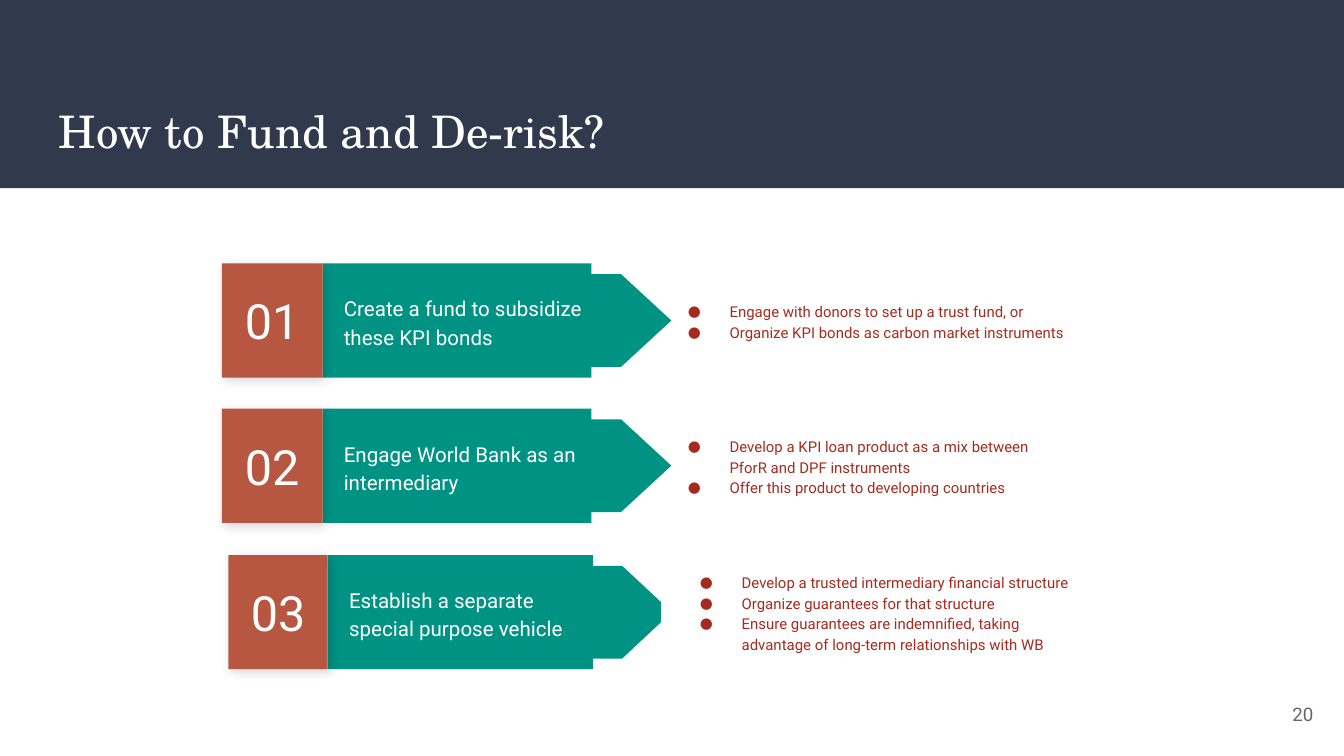
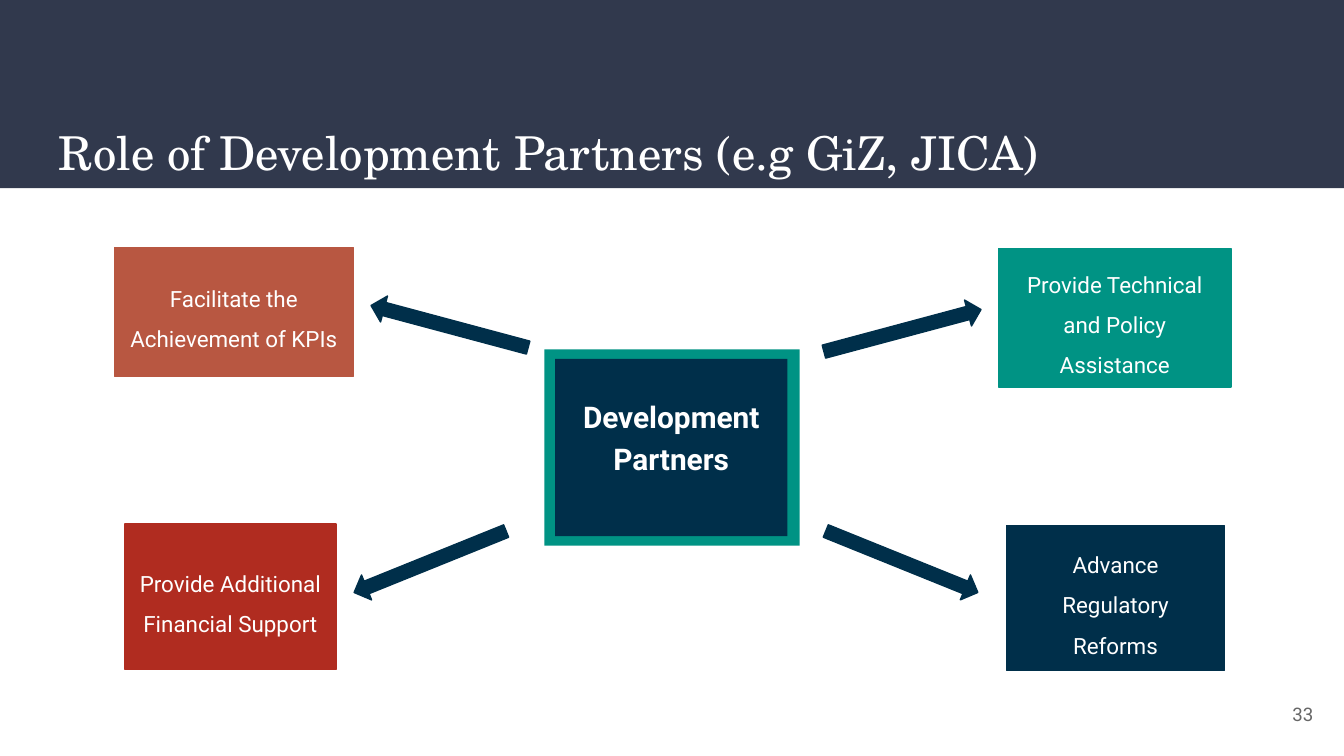
from lxml import etree
from pptx import Presentation
from pptx import util as u
from pptx.dml.color import RGBColor
from pptx.enum import shapes, text
from pptx.oxml.ns import qn

PX = 9144  # 100 px to the inch
WHITE, BAND, GREY = "FFFFFF", "31394D", "666666"
TEAL, CLAY, RED, NAVY, BULLET = "009384", "B85741", "B02C20", "002F4A", "A72A1E"
BODY_FONT, TITLE_FONT = "Roboto", "TeX Gyre Schola"
LEFT, CENTER, RIGHT = text.PP_ALIGN.LEFT, text.PP_ALIGN.CENTER, text.PP_ALIGN.RIGHT
TOP, MIDDLE = text.MSO_ANCHOR.TOP, text.MSO_ANCHOR.MIDDLE
RECT = shapes.MSO_SHAPE.RECTANGLE
ARROW = shapes.MSO_SHAPE.RIGHT_ARROW
PENTAGON = shapes.MSO_SHAPE.FLOWCHART_OFFPAGE_CONNECTOR


def color(hex_string):
    return RGBColor.from_string(hex_string)


def emu(box):
    return [u.Emu(round(length * PX)) for length in box]


def add_block(slide, box, fill, kind=RECT, outlined=False, rotation=0):
    shape = slide.shapes.add_shape(kind, *emu(box))
    shape.shadow.inherit = False
    shape.fill.solid()
    shape.fill.fore_color.rgb = color(fill)
    if outlined:
        shape.line.color.rgb = color(fill)
        shape.line.width = u.Pt(0.75)
    else:
        shape.line.fill.background()
    shape.rotation = rotation
    return shape


def write(shape, lines, size, ink=WHITE, font=BODY_FONT, align=LEFT,
          anchor=MIDDLE, spacing=1.0, bold=False, bulleted=False):
    frame = shape.text_frame
    frame.text = "\n".join(lines)
    frame.word_wrap = True
    frame.vertical_anchor = anchor
    frame.margin_left = frame.margin_right = u.Inches(0.1)
    frame.margin_top = frame.margin_bottom = u.Inches(0.1)
    for paragraph in frame.paragraphs:
        if bulleted:
            add_bullet(paragraph, ink, size)
        paragraph.alignment = align
        paragraph.line_spacing = spacing
        for run in paragraph.runs:
            run.font.name = font
            run.font.size = u.Pt(size)
            run.font.bold = bold
            run.font.color.rgb = color(ink)


def add_text(slide, box, lines, size, **style):
    write(slide.shapes.add_textbox(*emu(box)), lines, size, **style)


def add_bullet(paragraph, ink, size):
    properties = paragraph._p.get_or_add_pPr()
    properties.set("marL", str(u.Inches(0.5)))
    properties.set("indent", str(u.Inches(-0.31)))
    bullet_color = etree.SubElement(properties, qn("a:buClr"))
    etree.SubElement(bullet_color, qn("a:srgbClr"), val=ink)
    etree.SubElement(properties, qn("a:buSzPts"), val=str(size * 100))
    etree.SubElement(properties, qn("a:buFont"), typeface=BODY_FONT)
    etree.SubElement(properties, qn("a:buChar"), char="●")


def add_soft_shadow(shape):
    effects = shape._element.spPr.find(qn("a:effectLst"))
    shadow = etree.SubElement(
        effects, qn("a:outerShdw"), blurRad=str(u.Pt(5.6)), dist=str(u.Pt(2.2)),
        dir="2700000", algn="tl", rotWithShape="0")
    shade = etree.SubElement(shadow, qn("a:srgbClr"), val="000000")
    etree.SubElement(shade, qn("a:alpha"), val="17000")


def start_slide(presentation, title, title_top, title_size, number):
    slide = presentation.slides.add_slide(presentation.slide_layouts[6])
    add_block(slide, (0, 0, 1000, 140), BAND)
    add_text(slide, (34, title_top, 932, 68), [title], title_size,
             font=TITLE_FONT, anchor=TOP)
    add_text(slide, (927, 510, 60, 43), [number], 10, ink=GREY, align=RIGHT)
    return slide


def add_step(slide, box, number, heading, points, points_span, points_fill=None):
    """Numbered band with an arrow tip; points_span is the bullets' offset and width."""
    left, top, width, height = box
    stretch = width / 645
    add_block(slide, (left + 75 * stretch, top, 200 * stretch, height), TEAL)

    # The pentagon points down, so its frame is upright before the turn.
    tip_width, tip_length = 69, 187 * stretch
    center_x, center_y = left + 241 * stretch, top + height / 2
    add_block(slide, (center_x - tip_width / 2, center_y - tip_length / 2,
                      tip_width, tip_length), TEAL, PENTAGON, rotation=270)

    add_text(slide, (left + 81 * stretch, top + 10, 210 * stretch, 66),
             [heading], 11, spacing=1.15)
    square = add_block(slide, (left, top, 75 * stretch, height), CLAY)
    add_soft_shadow(square)
    write(square, [number], 26, align=CENTER)

    points_offset, points_width = points_span
    points_box = (left + points_offset, top, points_width, height)
    if points_fill:
        holder = add_block(slide, points_box, points_fill)
    else:
        holder = slide.shapes.add_textbox(*emu(points_box))
    write(holder, points, 8, ink=BULLET, spacing=1.15, bulleted=True)


def build_funding_slide(presentation):
    slide = start_slide(presentation, "How to Fund and De-risk?", 67, 24, "20")
    add_step(slide, (165, 196, 645, 85), "01",
             "Create a fund to subsidize these KPI bonds",
             ["Engage with donors to set up a trust fund, or",
              "Organize KPI bonds as carbon market instruments"], (318, 322))
    add_step(slide, (165, 304, 645, 85), "02",
             "Engage World Bank as an intermediary",
             ["Develop a KPI loan product as a mix between PforR and DPF instruments",
              "Offer this product to developing countries"], (318, 322))
    add_step(slide, (170, 413, 636, 85), "03",
             "Establish a separate special purpose vehicle",
             ["Develop a trusted intermediary financial structure",
              "Organize guarantees for that structure",
              "Ensure guarantees are indemnified, taking advantage of "
              "long-term relationships with WB"], (322, 317), WHITE)


def add_core(slide, box, label):
    left, top, width, height = box
    add_block(slide, box, TEAL)
    add_block(slide, (left + 8, top + 7, width - 17, height - 14), NAVY)
    add_text(slide, (left + 13, top + 23, width - 27, height - 47), [label], 16,
             align=CENTER, anchor=TOP, spacing=1.15, bold=True)


def build_partners_slide(presentation):
    slide = start_slide(presentation, "Role of Development Partners (e.g GiZ, JICA)",
                        82, 25, "33")
    roles = [
        # label, fill, box, arrow box, arrow angle
        ("Provide Technical and Policy Assistance", TEAL,
         (743, 185, 173, 103), (611, 236, 121, 20), 345),
        ("Provide Additional Financial Support", RED,
         (93, 390, 157, 108), (259, 408, 122, 20), 158),
        ("Advance Regulatory Reforms", NAVY,
         (749, 391, 162, 108), (610, 408, 122, 20), 22),
        ("Facilitate the Achievement of KPIs", CLAY,
         (85, 184, 178, 96), (274, 233, 121, 20), 195),
    ]
    for label, fill, box, arrow_box, angle in roles:
        add_block(slide, arrow_box, NAVY, ARROW, True, angle)
        write(add_block(slide, box, fill, outlined=True), [label], 12,
              align=CENTER, spacing=1.5)
    add_core(slide, (405, 260, 190, 146), "Development Partners")


def main():
    presentation = Presentation()
    presentation.slide_width = u.Emu(1000 * PX)
    presentation.slide_height = u.Emu(presentation.slide_width * 9 // 16)
    build_funding_slide(presentation)
    build_partners_slide(presentation)
    presentation.save("out.pptx")


if __name__ == "__main__":
    main()
